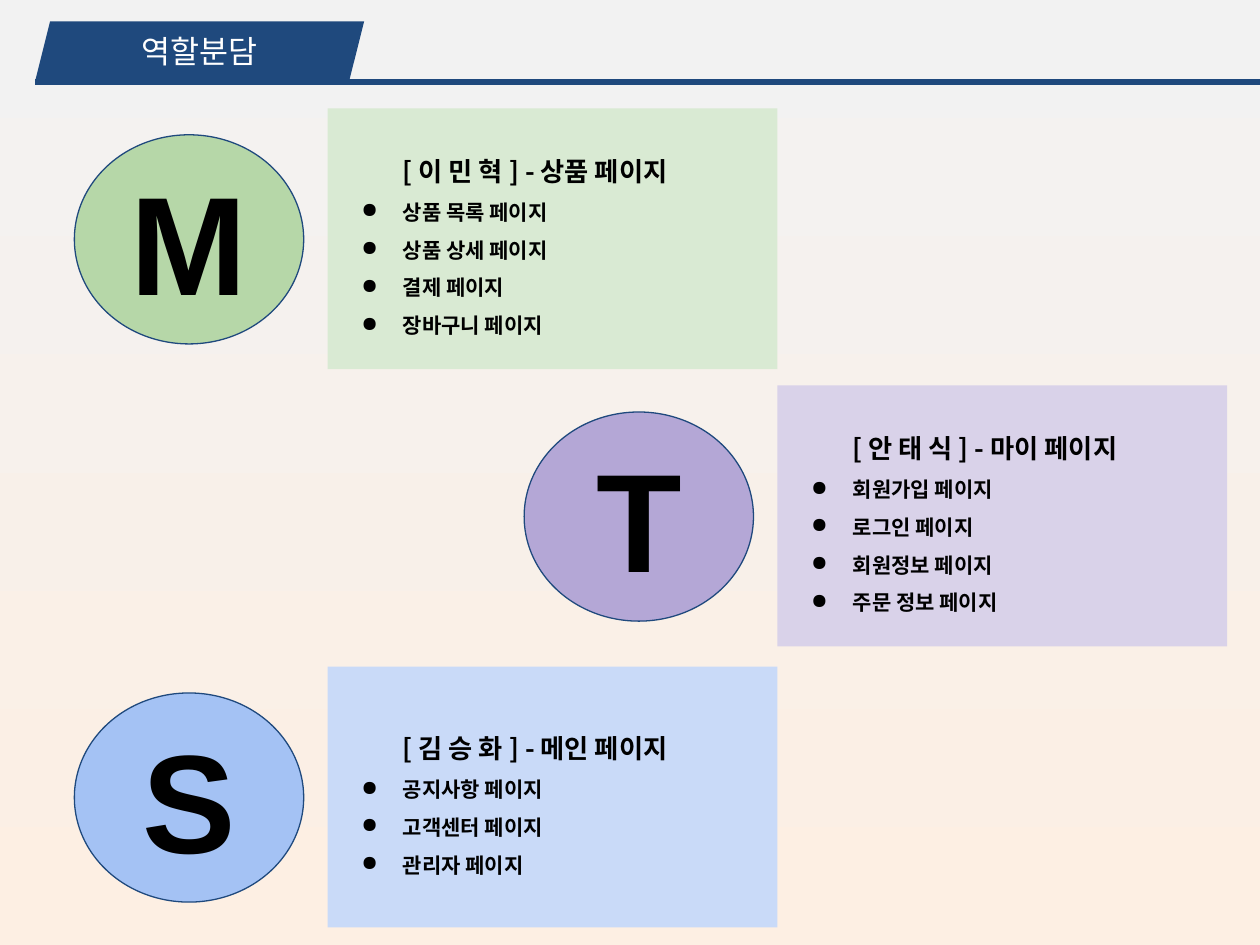
import dataclasses
import typing

import lxml.etree
import pptx
import pptx.dml.color
import pptx.enum.shapes
import pptx.enum.text
import pptx.oxml.ns
import pptx.util

Inches = pptx.util.Inches
Pt = pptx.util.Pt
RGBColor = pptx.dml.color.RGBColor
ShapeType = pptx.enum.shapes.MSO_SHAPE
Align = pptx.enum.text.PP_ALIGN
qn = pptx.oxml.ns.qn

NAVY = RGBColor(0x1F, 0x49, 0x7D)
WHITE = RGBColor(0xFF, 0xFF, 0xFF)
BLACK = RGBColor(0x00, 0x00, 0x00)
PALE_GRAY = RGBColor(0xF2, 0xF2, 0xF2)
PALE_PEACH = RGBColor(0xFD, 0xEF, 0xE3)
KOREAN_FONT = "Noto Sans CJK KR"

FRAME_FORMAT = {
    "word_wrap": True,
    "auto_size": pptx.enum.text.MSO_AUTO_SIZE.NONE,
    "vertical_anchor": pptx.enum.text.MSO_ANCHOR.MIDDLE,
    "margin_left": Inches(0.1),
    "margin_right": Inches(0.1),
    "margin_top": Inches(0.05),
    "margin_bottom": Inches(0.05),
}
INITIAL_FRAME = FRAME_FORMAT | {"margin_top": Inches(0.1), "margin_bottom": Inches(0.1)}
TITLE_FONT = {"name": "Arial", "size": Pt(18), "bold": False}
INITIAL_FONT = {"name": "Arial", "size": Pt(80), "bold": True}
TASK_FONT = {"name": KOREAN_FONT, "size": Pt(12), "bold": True}
HEADING_FONT = TASK_FONT | {"size": Pt(15)}


@dataclasses.dataclass
class Member:
    initial: str
    heading: str
    tasks: list[str]
    left: float
    top: float
    panel_color: RGBColor
    circle_color: RGBColor


MEMBERS = [
    Member("M", "[ 이 민 혁 ] - 상품 페이지",
           ["상품 목록 페이지", "상품 상세 페이지", "결제 페이지", "장바구니 페이지"],
           2.6, 0.86, RGBColor(0xD9, 0xEA, 0xD3), RGBColor(0xB6, 0xD7, 0xA8)),
    Member("T", "[ 안 태 식 ] - 마이 페이지",
           ["회원가입 페이지", "로그인 페이지", "회원정보 페이지", "주문 정보 페이지"],
           6.17, 3.06, RGBColor(0xD9, 0xD2, 0xE9), RGBColor(0xB4, 0xA7, 0xD6)),
    Member("S", "[ 김 승 화 ] - 메인 페이지",
           ["공지사항 페이지", "고객센터 페이지", "관리자 페이지"],
           2.6, 5.29, RGBColor(0xC9, 0xDA, 0xF8), RGBColor(0xA4, 0xC2, 0xF4)),
]


def apply_format(target: typing.Any, values: dict[str, typing.Any]) -> None:
    for name, value in values.items():
        setattr(target, name, value)


def add_text(paragraph: typing.Any, text: str, font: dict[str, typing.Any],
             color: RGBColor = BLACK) -> None:
    run = paragraph.add_run()
    run.text = text
    apply_format(run.font, font)
    run.font.color.rgb = color
    if font["name"] == KOREAN_FONT:
        east_asian = lxml.etree.SubElement(run.font._element, qn("a:ea"))
        east_asian.set("typeface", KOREAN_FONT)


def add_bullet(paragraph: typing.Any) -> None:
    properties = paragraph._p.get_or_add_pPr()
    properties.set("marL", str(Inches(0.5)))
    properties.set("indent", str(Inches(-0.33)))
    bullet_color = lxml.etree.SubElement(properties, qn("a:buClr"))
    lxml.etree.SubElement(bullet_color, qn("a:srgbClr")).set("val", str(BLACK))
    lxml.etree.SubElement(properties, qn("a:buChar")).set("char", "●")


def add_filled(slide: typing.Any, kind: typing.Any, left: float, top: float,
               width: float, height: float, color: RGBColor) -> typing.Any:
    shape = slide.shapes.add_shape(
        kind, Inches(left), Inches(top), Inches(width), Inches(height))
    shape.shadow.inherit = False
    shape.fill.solid()
    shape.fill.fore_color.rgb = color
    shape.line.fill.background()
    return shape


def draw_background(slide: typing.Any) -> None:
    fill = slide.background.fill
    fill.gradient()
    fill.gradient_angle = 270
    for stop, position, color in zip(fill.gradient_stops, (0, 1), (PALE_GRAY, PALE_PEACH)):
        stop.position = position
        stop.color.rgb = color


def draw_header(slide: typing.Any) -> None:
    rule = slide.shapes.add_connector(
        pptx.enum.shapes.MSO_CONNECTOR.STRAIGHT,
        Inches(10), Inches(0.65), Inches(0.28), Inches(0.65))
    rule.line.color.rgb = NAVY
    rule.line.width = Pt(3)
    lxml.etree.SubElement(rule._element.spPr, qn("a:effectLst"))

    banner = add_filled(slide, ShapeType.PARALLELOGRAM, 0.28, 0.17, 2.61, 0.47, NAVY)
    banner.adjustments[0] = 0.25

    title = slide.shapes.title
    apply_format(title, {"left": Inches(0.34), "top": Inches(0.13),
                         "width": Inches(2.48), "height": Inches(0.55)})
    apply_format(title.text_frame, FRAME_FORMAT)
    heading = title.text_frame.paragraphs[0]
    heading.alignment = Align.CENTER
    add_text(heading, "역할분담", TITLE_FONT, WHITE)
    banner.element.addnext(title.element)


def draw_member(slide: typing.Any, member: Member) -> None:
    panel = add_filled(slide, ShapeType.RECTANGLE, member.left, member.top,
                       3.57, 2.07, member.panel_color)
    apply_format(panel.text_frame, FRAME_FORMAT)
    heading = panel.text_frame.paragraphs[0]
    apply_format(heading, {"alignment": Align.LEFT, "line_spacing": 1.5})
    add_text(heading, "\t", TASK_FONT)
    add_text(heading, member.heading, HEADING_FONT)
    for task in member.tasks:
        item = panel.text_frame.add_paragraph()
        apply_format(item, {"alignment": Align.LEFT, "line_spacing": 1.5})
        add_bullet(item)
        add_text(item, task, TASK_FONT)

    circle = add_filled(slide, ShapeType.OVAL, member.left - 2.01, member.top + 0.21,
                        1.82, 1.66, member.circle_color)
    circle.line.color.rgb = NAVY
    circle.line.width = Pt(0.75)
    apply_format(circle.text_frame, INITIAL_FRAME)
    initial = circle.text_frame.paragraphs[0]
    initial.alignment = Align.CENTER
    add_text(initial, member.initial, INITIAL_FONT)


def main() -> None:
    deck = pptx.Presentation()
    deck.slide_width = Inches(10)
    deck.slide_height = Inches(7.5)
    slide = deck.slides.add_slide(deck.slide_layouts[5])
    draw_background(slide)
    draw_header(slide)
    for member in MEMBERS:
        draw_member(slide, member)
    deck.save("out.pptx")


if __name__ == "__main__":
    main()
